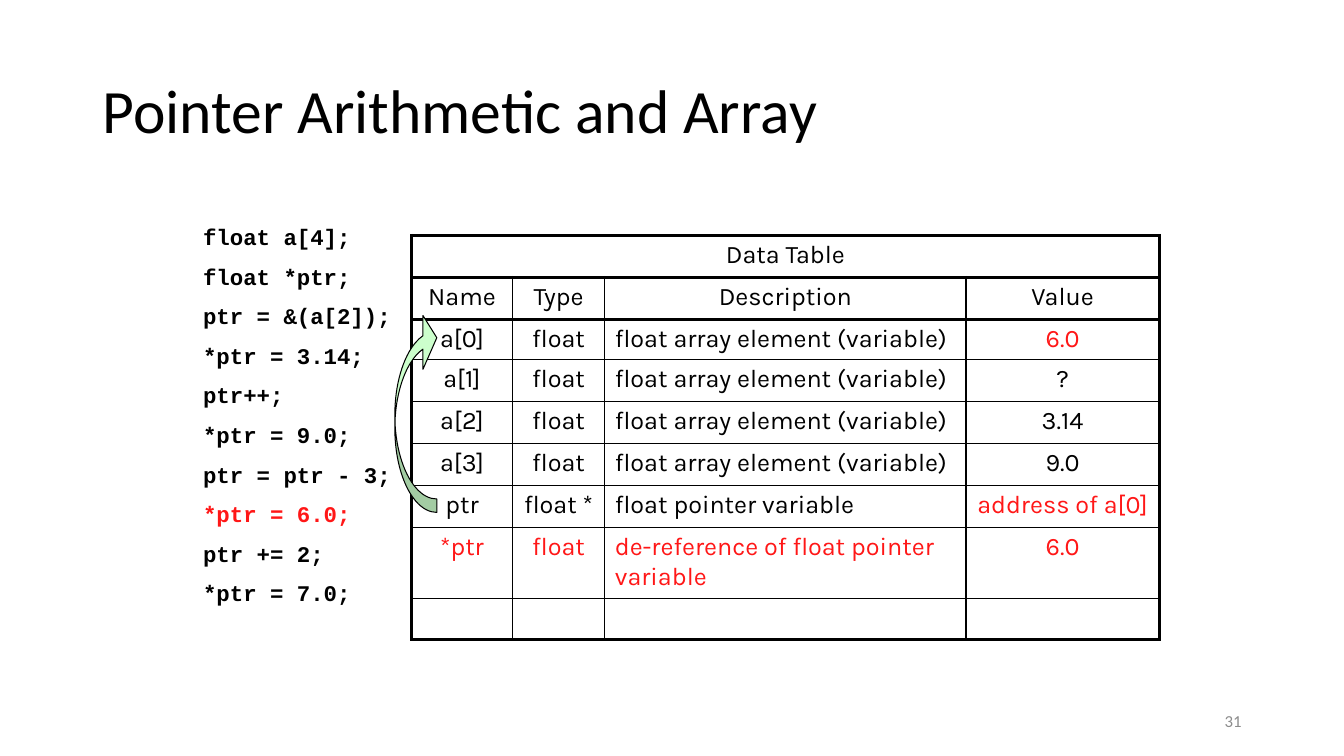
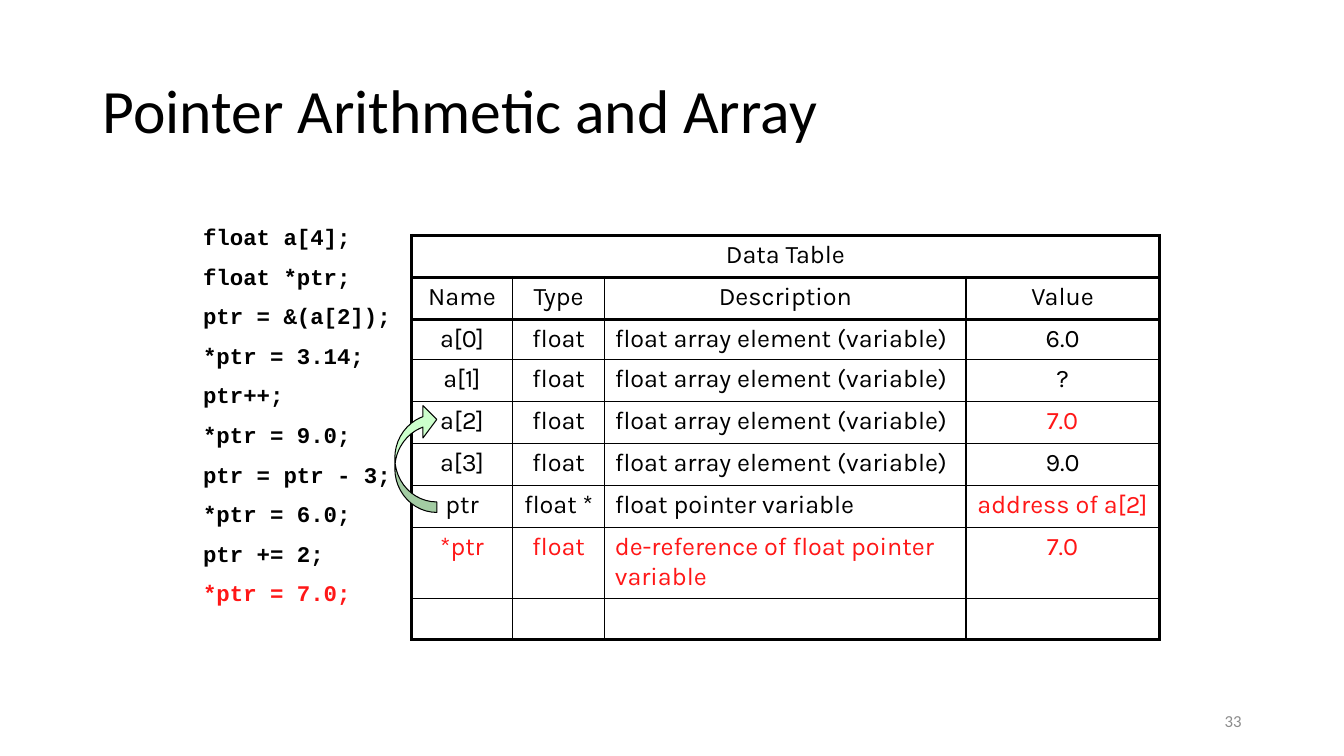
import lxml.etree
import pptx
import pptx.dml.color
import pptx.enum.shapes
import pptx.enum.text
import pptx.oxml.ns
import pptx.util

Pt = pptx.util.Pt
RGB = pptx.dml.color.RGBColor
ALIGN = pptx.enum.text.PP_ALIGN
ANCHOR = pptx.enum.text.MSO_ANCHOR
AUTO = pptx.enum.text.MSO_AUTO_SIZE
qn = pptx.oxml.ns.qn


class Theme:
    ink = RGB(0x00, 0x00, 0x00)
    accent = RGB(0xFF, 0x17, 0x17)
    muted = RGB(0x8C, 0x8C, 0x8C)
    arrow = RGB(0xCC, 0xFF, 0xCC)
    title_font, code_font, table_font = "Calibri", "Courier New", "Karla"
    title_size, code_size, table_size, number_size = 44, 16, 18, 12
    code_gap = 9.06
    thin, thick, outline = 1, 2.25, 0.75


TITLE = "Pointer Arithmetic and Array"
CODE = [
    "float a[4];",
    "float *ptr;",
    "ptr = &(a[2]);",
    "*ptr = 3.14;",
    "ptr++;",
    "*ptr = 9.0;",
    "ptr = ptr - 3;",
    "*ptr = 6.0;",
    "ptr += 2;",
    "*ptr = 7.0;",
]
COL_WIDTHS = [72, 66, 258, 138]
ROW_HEIGHTS = [30, 30, 28.5, 30, 30, 30, 30, 51, 28.5]
ARROW_BOTTOM = 366

STEPS = [
    dict(number="31", active=7, memory=["6.0", "?", "3.14", "9.0"], target=0,
         arrow_top=222, arrow_adj=(0.32, 1.28, 0.33)),
    dict(number="33", active=9, memory=["6.0", "?", "7.0", "9.0"], target=2,
         arrow_top=288, arrow_adj=(0.25, 0.77, 0.33)),
]


class Deck:
    def __init__(self, theme):
        self.theme = theme
        self.prs = pptx.Presentation()
        self.prs.slide_width = Pt(960)
        self.prs.slide_height = Pt(540)
        self.slide = None

    def new_slide(self):
        self.slide = self.prs.slides.add_slide(self.prs.slide_layouts[5])

    def add_run(self, p, text, font, size, color, bold=False):
        r = p.add_run()
        r.text = text
        r.font.name = font
        r.font.size = Pt(size)
        r.font.bold = bold
        r.font.color.rgb = color

    def text_box(self, left, top, width, height):
        sp = self.slide.shapes.add_textbox(Pt(left), Pt(top), Pt(width), Pt(height))
        sp.text_frame.word_wrap = True
        return sp.text_frame

    def title(self, text):
        t = self.theme
        sp = self.slide.shapes.title
        sp.left, sp.top, sp.width, sp.height = Pt(66), Pt(28.75), Pt(828), Pt(104.4)
        tf = sp.text_frame
        tf.auto_size = AUTO.NONE
        tf.vertical_anchor = ANCHOR.MIDDLE
        p = tf.paragraphs[0]
        p.alignment = ALIGN.LEFT
        p.line_spacing = 0.9
        self.add_run(p, text, t.title_font, t.title_size, t.ink)

    def page_number(self, number):
        t = self.theme
        tf = self.text_box(678, 500.5, 216, 28.75)
        tf.vertical_anchor = ANCHOR.MIDDLE
        p = tf.paragraphs[0]
        p.alignment = ALIGN.RIGHT
        self.add_run(p, number, t.title_font, t.number_size, t.muted)

    def code(self, lines, active):
        t = self.theme
        tf = self.text_box(138, 156, 672, 286.5)
        tf.auto_size = AUTO.SHAPE_TO_FIT_TEXT
        for i, line in enumerate(lines):
            p = tf.add_paragraph() if i else tf.paragraphs[0]
            if i:
                p.space_before = Pt(t.code_gap)
            color = t.accent if i == active else t.ink
            self.add_run(p, line, t.code_font, t.code_size, color, bold=True)

    def borders(self, cell, thick_sides):
        tc_pr = cell._tc.get_or_add_tcPr()
        for side in "LRTB":
            width = self.theme.thick if side in thick_sides else self.theme.thin
            ln = lxml.etree.SubElement(tc_pr, qn("a:ln" + side), w=str(int(Pt(width))))
            fill = lxml.etree.SubElement(ln, qn("a:solidFill"))
            lxml.etree.SubElement(fill, qn("a:srgbClr"), val=str(self.theme.ink))

    def data_table(self, rows, red_cells):
        t = self.theme
        last_row, last_col = len(rows) - 1, len(COL_WIDTHS) - 1
        table = self.slide.shapes.add_table(
            len(rows), len(COL_WIDTHS), Pt(294), Pt(168),
            Pt(sum(COL_WIDTHS)), Pt(sum(ROW_HEIGHTS))).table
        table.first_row = table.horz_banding = False
        for col, width in zip(table.columns, COL_WIDTHS):
            col.width = Pt(width)
        for row, height in zip(table.rows, ROW_HEIGHTS):
            row.height = Pt(height)
        table.cell(0, 0).merge(table.cell(0, last_col))

        for i, row in enumerate(rows):
            for j, text in enumerate(row):
                cell = table.cell(i, j)
                thick = {"L": j == 0, "R": i == 0 or j == last_col,
                         "T": i <= 2, "B": i <= 1 or i == last_row}
                self.borders(cell, [side for side, on in thick.items() if on])
                cell.fill.background()
                p = cell.text_frame.paragraphs[0]
                p.alignment = ALIGN.LEFT if i > 1 and j == 2 else ALIGN.CENTER
                if text:
                    color = t.accent if (i, j) in red_cells else t.ink
                    self.add_run(p, text, t.table_font, t.table_size, color)

    def pointer_arrow(self, top, adjustments):
        sp = self.slide.shapes.add_shape(
            pptx.enum.shapes.MSO_SHAPE.CURVED_LEFT_ARROW,
            Pt(282), Pt(top), Pt(30), Pt(ARROW_BOTTOM - top))
        sp.rotation = 180
        for i, value in enumerate(adjustments):
            sp.adjustments[i] = value
        sp.shadow.inherit = False
        sp.fill.solid()
        sp.fill.fore_color.rgb = self.theme.arrow
        sp.line.color.rgb = self.theme.ink
        sp.line.width = Pt(self.theme.outline)


def table_rows(memory, target):
    elements = [[f"a[{i}]", "float", "float array element (variable)", value]
                for i, value in enumerate(memory)]
    return [
        ["Data Table"],
        ["Name", "Type", "Description", "Value"],
        *elements,
        ["ptr", "float *", "float pointer variable", f"address of a[{target}]"],
        ["*ptr", "float", "de-reference of float pointer variable", memory[target]],
        [""] * 4,
    ]


def main():
    deck = Deck(Theme)
    for step in STEPS:
        target = step["target"]
        red_cells = {(target + 2, 3), (6, 3), *((7, j) for j in range(4))}
        deck.new_slide()
        deck.title(TITLE)
        deck.page_number(step["number"])
        deck.code(CODE, step["active"])
        deck.data_table(table_rows(step["memory"], target), red_cells)
        deck.pointer_arrow(step["arrow_top"], step["arrow_adj"])
    deck.prs.save("out.pptx")


if __name__ == "__main__":
    main()
